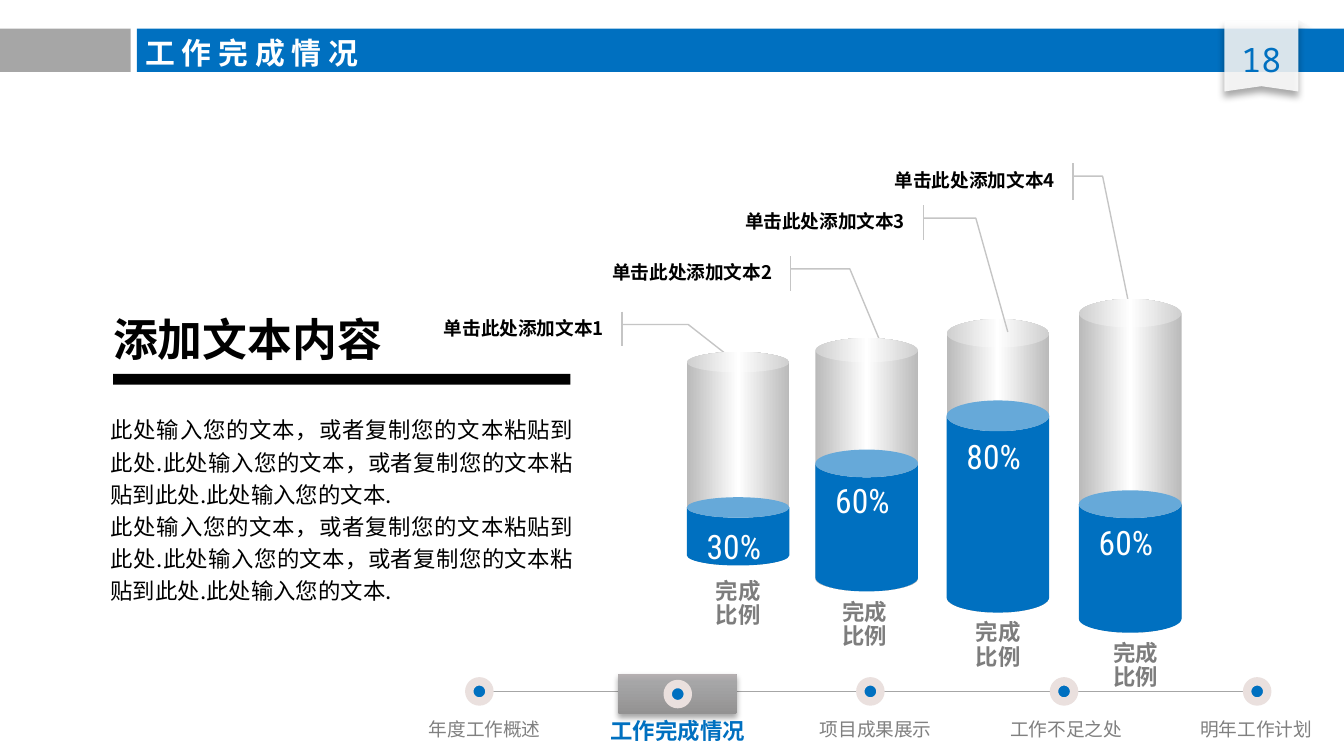
import lxml.etree
import pptx
import pptx.dml.color
import pptx.enum.shapes
import pptx.enum.text
import pptx.oxml.ns
import pptx.util
from dataclasses import dataclass

Cm = pptx.util.Cm
Pt = pptx.util.Pt
RGBColor = pptx.dml.color.RGBColor
Preset = pptx.enum.shapes.MSO_SHAPE
Align = pptx.enum.text.PP_ALIGN
Anchor = pptx.enum.text.MSO_ANCHOR
qn = pptx.oxml.ns.qn

BLUE = RGBColor(0x00, 0x70, 0xC0)
WHITE = RGBColor(0xFF, 0xFF, 0xFF)
FOLD = RGBColor(0xF8, 0xF8, 0xF8)
BLACK = RGBColor(0x00, 0x00, 0x00)
GREY = RGBColor(0xA6, 0xA6, 0xA6)
RING = RGBColor(0xEA, 0xE0, 0xDE)
LEADER = RGBColor(0xC5, 0xC5, 0xC5)
LABEL_GREY = RGBColor(0x80, 0x80, 0x80)
CAPTION_GREY = RGBColor(0x7D, 0x7D, 0x7D)
GLASS_STOPS = [(0, "BABABA"), (50, "FFFFFF"), (100, "BABABA")]
TAB_STOPS = [(0, "939292"), (80, "A6A6A7"), (100, "B6B0B2")]

CJK = "Noto Sans CJK SC"
NARROW_INSETS = (0.18, 0.1)
WIDE_INSETS = (0.25, 0.13)
TANK_WIDTH = 1.94
BODY_TEXT = ("此处输入您的文本，或者复制您的文本粘贴到此处."
             "此处输入您的文本，或者复制您的文本粘贴到此处.此处输入您的文本.")


@dataclass
class Tank:
    left: float
    top: float
    bottom: float
    rim: float
    water_top: float
    water_curve: float
    percent: str
    percent_top: float
    caption_at: tuple
    callout_box: tuple
    leader: tuple
    leader_in_front: bool = False


TANKS = [
    Tank(12.98, 6.65, 10.69, 0.39, 9.4, 0.3, "30%", 9.85, (12.98, 10.87),
         (7.42, 5.89, 4.17, 0.66), (0.37, 1.04, 0.37, 1.34, 1.36, 1.54)),
    Tank(15.41, 6.39, 11.18, 0.46, 8.5, 0.27, "60%", 8.98, (15.37, 11.26),
         (10.6, 4.84, 4.17, 0.66), (0.37, 1.04, 0.37, 1.31, 2.64, 1.46)),
    Tank(17.89, 6.03, 11.58, 0.54, 7.57, 0.3, "80%", 8.14, (17.89, 11.65),
         (12.97, 3.88, 4.31, 0.66), (0.37, 1.04, 0.37, 1.27, 3.63, 1.41), True),
    Tank(20.39, 5.65, 11.96, 0.54, 9.27, 0.27, "60%", 9.76, (20.49, 12.04),
         (15.82, 3.09, 4.29, 0.69), (0.35, 1.04, 0.35, 1.17, 3.99, 1.29)),
]

# Label, centre of its dot, centre of its text
STEPS = [("年度工作概述", 9.06, 9.16), ("工作完成情况", 12.81, 12.81),
         ("项目成果展示", 16.45, 16.55), ("工作不足之处", 20.11, 20.15),
         ("明年工作计划", 23.76, 23.74)]
ACTIVE_STEP = 1


def style_shape(shape, fill=None, alpha=None, line=None, line_width=0.75):
    shape.shadow.inherit = False
    if fill is None:
        shape.fill.background()
    else:
        shape.fill.solid()
        shape.fill.fore_color.rgb = fill
    if alpha is not None:
        color = shape._element.spPr.find(qn("a:solidFill"))[0]
        lxml.etree.SubElement(color, qn("a:alpha"), val=str(alpha * 1000))
    if line is None:
        shape.line.fill.background()
    else:
        shape.line.color.rgb = line
        shape.line.width = Pt(line_width)
    return shape


def add_preset(slide, preset, box, **style):
    shape = slide.shapes.add_shape(preset, *map(Cm, box))
    return style_shape(shape, **style)


def add_outline(slide, points, **style):
    points = [(Cm(x), Cm(y)) for x, y in points]
    builder = slide.shapes.build_freeform(*points[0], scale=1.0)
    builder.add_line_segments(points[1:], close=True)
    return style_shape(builder.convert_to_shape(), **style)


def curve_outline(shape):
    """Turn each three line segments of a freeform into one cubic curve."""
    segments = list(shape._element.spPr.iter(qn("a:lnTo")))
    for start in range(0, len(segments), 3):
        curve = lxml.etree.Element(qn("a:cubicBezTo"))
        segments[start].addprevious(curve)
        for segment in segments[start:start + 3]:
            curve.append(segment[0])
            segment.getparent().remove(segment)


def set_gradient(shape, stops, angle=0):
    shape.fill.gradient()
    shape.fill.gradient_angle = angle
    stop_list = shape._element.spPr.find(qn("a:gradFill")).find(qn("a:gsLst"))
    for stop in list(stop_list):
        stop_list.remove(stop)
    for position, color in stops:
        stop = lxml.etree.SubElement(stop_list, qn("a:gs"), pos=str(position * 1000))
        lxml.etree.SubElement(stop, qn("a:srgbClr"), val=color)


def add_shadow(shape, alpha, blur, distance):
    effects = shape._element.spPr.find(qn("a:effectLst"))
    shadow = lxml.etree.SubElement(
        effects, qn("a:outerShdw"), blurRad=str(Pt(blur)), dist=str(Pt(distance)),
        dir="5400000", algn="t", rotWithShape="0")
    color = lxml.etree.SubElement(shadow, qn("a:srgbClr"), val="000000")
    lxml.etree.SubElement(color, qn("a:alpha"), val=str(alpha * 1000))


def write_text(shape, lines, size, color, bold=False, font=CJK, align=Align.LEFT,
               spacing=1.0, insets=NARROW_INSETS, anchor=Anchor.TOP, wrap=True):
    frame = shape.text_frame
    frame.auto_size = pptx.enum.text.MSO_AUTO_SIZE.NONE
    frame.word_wrap = wrap
    frame.vertical_anchor = anchor
    frame.margin_left = frame.margin_right = Cm(insets[0])
    frame.margin_top = frame.margin_bottom = Cm(insets[1])
    for index, line in enumerate(lines):
        para = frame.paragraphs[0] if index == 0 else frame.add_paragraph()
        para.alignment = align
        para.line_spacing = spacing
        para.space_before = Pt(0)
        span = para.add_run()
        span.text = line
        span.font.size = Pt(size)
        span.font.bold = bold
        span.font.color.rgb = color
        span.font.name = font
        lxml.etree.SubElement(span.font._element, qn("a:ea"), typeface=CJK)


def add_text(slide, box, lines, size, color, **style):
    write_text(slide.shapes.add_textbox(*map(Cm, box)), lines, size, color, **style)


def place_on_top(slide, shape, box):
    shape.left, shape.top, shape.width, shape.height = map(Cm, box)
    slide.shapes._spTree.append(shape._element)


def add_header(slide):
    fold = add_preset(slide, Preset.RIGHT_TRIANGLE, (24.54, 0.38, 0.23, 0.15),
                      fill=FOLD, alpha=85)
    add_shadow(fold, 40, 4, 3)
    add_preset(slide, Preset.RECTANGLE, (0, 0.54, 2.47, 0.82), fill=GREY)
    add_preset(slide, Preset.RECTANGLE, (2.59, 0.54, 22.81, 0.82), fill=BLUE)
    ribbon = add_outline(slide, [(23.14, 0.4), (24.54, 0.4), (24.54, 1.73),
                                 (23.84, 1.63), (23.14, 1.73)], fill=WHITE, alpha=85)
    add_shadow(ribbon, 40, 4, 3)
    add_text(slide, (23.14, 0.63, 1.4, 0.97), ["18"], 18, BLUE,
             font="Noto Sans Mono", align=Align.CENTER)


def add_step_bar(slide):
    track = slide.shapes.add_connector(pptx.enum.shapes.MSO_CONNECTOR.STRAIGHT,
                                       Cm(9.17), Cm(13.07), Cm(23.72), Cm(13.07))
    track.line.color.rgb = GREY
    track.line.width = Pt(1)
    lxml.etree.SubElement(track._element.spPr, qn("a:effectLst"))
    for index, (label, dot_x, text_x) in enumerate(STEPS):
        active = index == ACTIVE_STEP
        if active:
            tab = add_preset(slide, Preset.ROUNDED_RECTANGLE, (11.68, 12.74, 2.25, 0.76))
            tab.adjustments[0] = 0.05
            set_gradient(tab, TAB_STOPS, angle=90)
            add_shadow(tab, 35, 3.1, 1.8)
        add_preset(slide, Preset.OVAL, (dot_x - 0.19, 12.93 if active else 12.88, 0.38, 0.38),
                   fill=BLUE, line=RING, line_width=4.5)
        width = 2.94 if active else 2.52
        add_text(slide, (text_x - width / 2, 13.46, width, 0.71 if active else 0.62), [label],
                 12 if active else 10, BLUE if active else LABEL_GREY,
                 bold=active, align=Align.CENTER, wrap=False)


def add_glass(slide, tank):
    left, right = tank.left, tank.left + TANK_WIDTH
    middle, bend = left + TANK_WIDTH / 2, TANK_WIDTH / 4
    high, low = tank.top + tank.rim / 2, tank.bottom - tank.rim / 2
    rise = tank.rim / 4
    glass = add_outline(slide, [
        (left, high), (left, high), (left, low), (left, low),
        (left, low + rise), (middle - bend, tank.bottom), (middle, tank.bottom),
        (middle + bend, tank.bottom), (right, low + rise), (right, low),
        (right, low), (right, high), (right, high),
        (right, high - rise), (middle + bend, tank.top), (middle, tank.top),
        (middle - bend, tank.top), (left, high - rise), (left, high)])
    curve_outline(glass)
    set_gradient(glass, GLASS_STOPS)


def add_callout(slide, tank, number):
    callout = add_preset(slide, Preset.LINE_CALLOUT_2_ACCENT_BAR, tank.callout_box, line=LEADER)
    for index, value in enumerate(tank.leader):
        callout.adjustments[index] = value
    write_text(callout, [f"单击此处添加文本{number}"], 10, BLACK, bold=True,
               align=Align.RIGHT, spacing=0.9, anchor=Anchor.MIDDLE)


def add_tank(slide, tank):
    add_glass(slide, tank)
    for top, alpha in ((tank.top, 30), (tank.bottom - tank.rim, 10)):
        add_preset(slide, Preset.OVAL, (tank.left, top, TANK_WIDTH, tank.rim),
                   fill=WHITE, alpha=alpha)
    water = add_preset(slide, Preset.CAN, (tank.left, tank.water_top, TANK_WIDTH,
                                           tank.bottom - tank.water_top), fill=BLUE)
    water.adjustments[0] = tank.water_curve
    add_text(slide, (tank.left + 0.1, tank.percent_top, 1.58, 0.86), [tank.percent],
             18, WHITE, font="Roboto Condensed", align=Align.CENTER)
    add_text(slide, (*tank.caption_at, 1.95, 1.12), ["完成", "比例"], 12,
             CAPTION_GREY, bold=True, align=Align.CENTER, spacing=0.9)


def fill_body(slide, body):
    place_on_top(slide, body, (1.91, 7.67, 9.11, 3.89))
    write_text(body, [BODY_TEXT] * 2, 12, BLACK, align=Align.JUSTIFY, spacing=1.2)
    for para in body.text_frame.paragraphs:
        properties = para._p.get_or_add_pPr()
        properties.set("marL", "0")
        properties.set("indent", "0")
        lxml.etree.SubElement(properties, qn("a:buNone"))


def main():
    deck = pptx.Presentation()
    deck.slide_width, deck.slide_height = Cm(25.4), Cm(14.29)
    slide = deck.slides.add_slide(deck.slide_layouts[1])
    title, body = slide.placeholders[0], slide.placeholders[1]

    # Header and step bar
    add_header(slide)
    add_step_bar(slide)
    place_on_top(slide, title, (2.5, 0.53, 5.79, 0.94))
    write_text(title, ["工 作 完 成 情 况"], 16, WHITE, bold=True,
               font="Calibri", insets=WIDE_INSETS)

    # Tanks with their callouts
    for number, tank in enumerate(TANKS, start=1):
        if not tank.leader_in_front:
            add_callout(slide, tank, number)
        add_tank(slide, tank)
        if tank.leader_in_front:
            add_callout(slide, tank, number)

    # Text column
    fill_body(slide, body)
    add_text(slide, (1.89, 5.77, 6.22, 1.27), ["添加文本内容"], 24, BLACK,
             bold=True, insets=WIDE_INSETS)
    add_preset(slide, Preset.RECTANGLE, (2.14, 7.07, 8.64, 0.2), fill=BLACK)
    deck.save("out.pptx")


if __name__ == "__main__":
    main()
